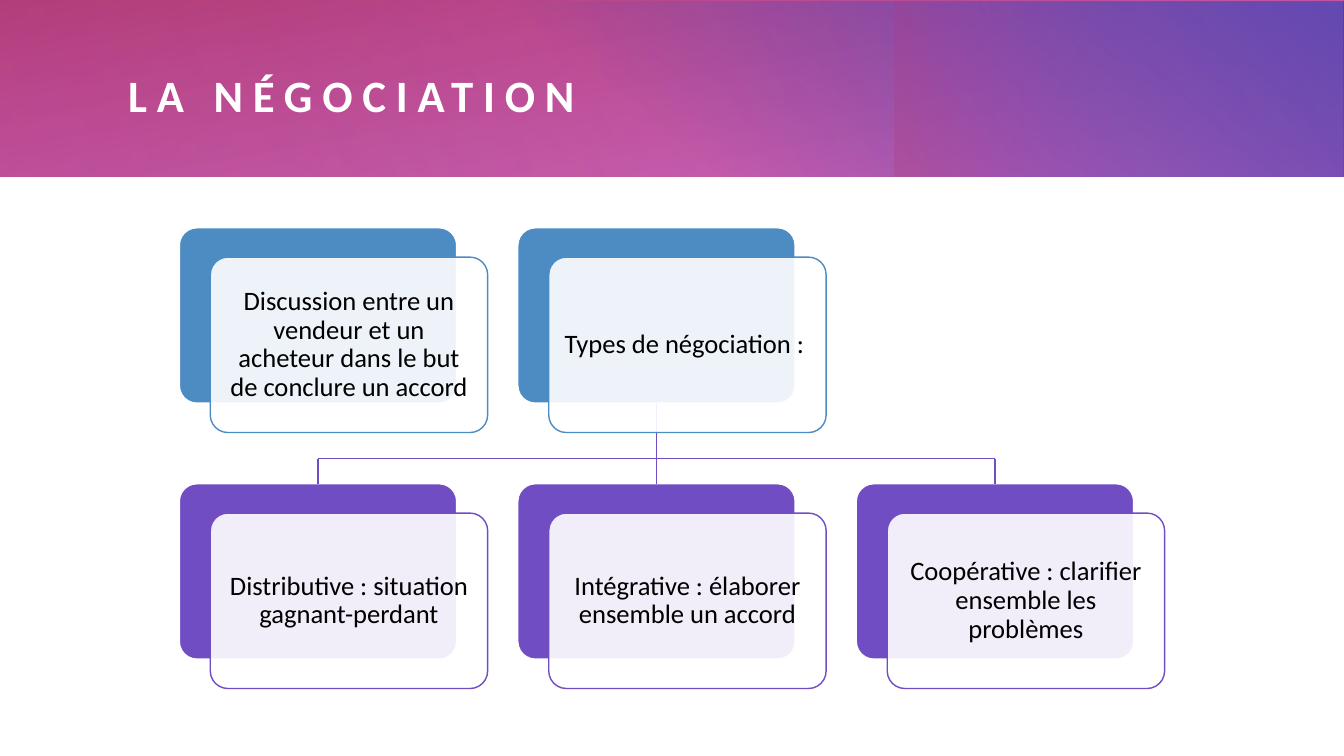
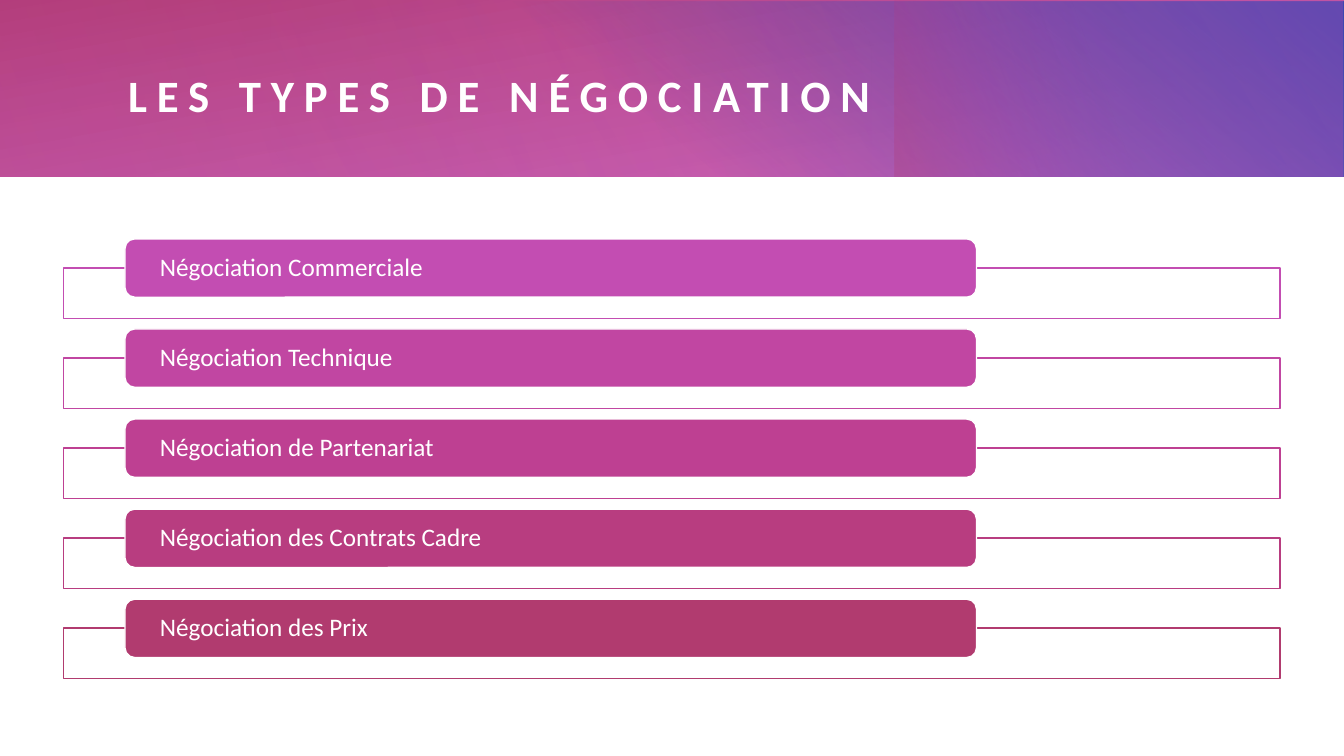
"""Build two slides about negotiation under a shared gradient title band."""
from dataclasses import dataclass

from lxml import etree
from pptx import Presentation
from pptx.dml.color import RGBColor
from pptx.enum.shapes import MSO_CONNECTOR, MSO_SHAPE
from pptx.enum.text import MSO_ANCHOR, PP_ALIGN
from pptx.oxml.ns import qn
from pptx.presentation import Presentation as Deck
from pptx.shapes.autoshape import Shape
from pptx.shapes.connector import Connector
from pptx.slide import Slide
from pptx.util import Cm, Pt

RECTANGLE = MSO_SHAPE.RECTANGLE
ROUNDED = MSO_SHAPE.ROUNDED_RECTANGLE
STRAIGHT = MSO_CONNECTOR.STRAIGHT
MIDDLE = MSO_ANCHOR.MIDDLE
LEFT, CENTER = PP_ALIGN.LEFT, PP_ALIGN.CENTER
TOP_SIDE, BOTTOM_SIDE = 0, 2

FONT = "Calibri"
LINE_WIDTH = Pt(1)
BLANK_LAYOUT = 6
COLOURS = {
    "white": "FFFFFF",
    "black": "000000",
    "steel": "4D8BC3",
    "violet": "714DC3",
    "purple": "913BB1",
    "indigo": "3B48B1",
    "pink": "C34DB2",
    "orchid": "C146A2",
    "magenta": "BE4092",
    "raspberry": "B83D80",
    "crimson": "B13B6F",
}


@dataclass(frozen=True)
class Box:
    """Position and size in centimetres."""
    left: float
    top: float
    width: float
    height: float


@dataclass(frozen=True)
class Stop:
    """Gradient stop with position and opacity in percent."""
    position: int
    colour: str
    opacity: int


@dataclass(frozen=True)
class Band:
    """Gradient layer of the title band, with a clockwise angle."""
    box: Box
    angle: int
    start: Stop
    end: Stop
    rotation: int = 0


@dataclass(frozen=True)
class Card:
    """Diagram card placed on the grid by column and row."""
    column: int
    row: int
    colour: str
    text: str


@dataclass(frozen=True)
class Entry:
    """Labelled bar of the list."""
    text: str
    colour: str


BAND_HEIGHT = 4.45
BANDS = [
    Band(Box(0, 0, 33.87, BAND_HEIGHT), 260, Stop(0, "pink", 83), Stop(100, "crimson", 100)),
    Band(Box(12.22, 0.03, 21.65, 4.42), 310, Stop(22, "indigo", 0), Stop(99, "indigo", 100)),
    Band(Box(25.07, -2.52, BAND_HEIGHT, 9.5), 250, Stop(45, "purple", 0), Stop(99, "crimson", 33), 270),
    Band(Box(6.81, 0, 27.03, BAND_HEIGHT), 330, Stop(0, "pink", 30), Stop(99, "pink", 0), 180),
    Band(Box(0, 0, 21.97, BAND_HEIGHT), 340, Stop(0, "pink", 21), Stop(99, "pink", 0)),
]
TITLE_BOX = Box(3.23, 1.04, 28.83, 2.69)

CARD_ORIGIN = Box(4.52, 5.74, 6.99, 4.42)
CARD_STEP = (8.53, 6.45)
CARD_OFFSET = (0.78, 0.74)
BRANCH_TOP = 11.56
DEFINITION = Card(0, 0, "steel", "Discussion entre un vendeur et un acheteur dans le but de conclure un accord")
PARENT = Card(1, 0, "steel", "Types de négociation : ")
CHILDREN = [
    Card(0, 1, "violet", "Distributive : situation gagnant-perdant"),
    Card(1, 1, "violet", "Intégrative : élaborer ensemble un accord"),
    Card(2, 1, "violet", "Coopérative : clarifier ensemble les problèmes"),
]

ENTRY_STEP = 2.27
FRAME_ORIGIN = Box(1.6, 6.75, 30.66, 1.27)
LABEL_ORIGIN = Box(3.15, 6.02, 21.46, 1.47)
ENTRIES = [
    Entry("Négociation Commerciale", "pink"),
    Entry("Négociation Technique", "orchid"),
    Entry("Négociation de Partenariat", "magenta"),
    Entry("Négociation des Contrats Cadre", "raspberry"),
    Entry("Négociation des Prix", "crimson"),
]


def colour_of(name: str) -> RGBColor:
    """Return the named colour."""
    return RGBColor.from_string(COLOURS[name])


def lengths(box: Box) -> tuple[Cm, Cm, Cm, Cm]:
    """Return the box as lengths."""
    return Cm(box.left), Cm(box.top), Cm(box.width), Cm(box.height)


def shifted(box: Box, right: float, down: float) -> Box:
    """Return the box moved by the given distances."""
    return Box(box.left + right, box.top + down, box.width, box.height)


def set_opacity(colour_element: etree._Element, percent: int) -> None:
    """Make a colour element partly transparent."""
    etree.SubElement(colour_element, qn("a:alpha")).set("val", str(percent * 1000))


def add_panel(slide: Slide, kind: MSO_SHAPE, box: Box, fill: str, line: str, opacity: int = 100) -> Shape:
    """Add a filled and outlined shape."""
    shape = slide.shapes.add_shape(kind, *lengths(box))
    shape.shadow.inherit = False
    shape.fill.solid()
    shape.fill.fore_color.rgb = colour_of(fill)
    if opacity < 100:
        set_opacity(next(shape.element.spPr.iter(qn("a:srgbClr"))), opacity)
    shape.line.color.rgb = colour_of(line)
    shape.line.width = LINE_WIDTH
    return shape


def write_text(shape: Shape, text: str, size: int, colour: str, alignment: PP_ALIGN,
               side: float = 0, edge: float = 0, spacing: float = 1.0):
    """Write one vertically centred paragraph and return its run."""
    frame = shape.text_frame
    frame.word_wrap = True
    frame.vertical_anchor = MIDDLE
    frame.margin_left = frame.margin_right = Cm(side)
    frame.margin_top = frame.margin_bottom = Cm(edge)
    paragraph = frame.paragraphs[0]
    paragraph.alignment = alignment
    paragraph.line_spacing = spacing
    run = paragraph.add_run()
    run.text = text
    run.font.name = FONT
    run.font.size = Pt(size)
    run.font.color.rgb = colour_of(colour)
    return run


def add_band(slide: Slide, band: Band) -> None:
    """Add one gradient layer."""
    shape = slide.shapes.add_shape(RECTANGLE, *lengths(band.box))
    shape.shadow.inherit = False
    shape.rotation = band.rotation
    shape.line.fill.background()
    shape.fill.gradient()
    shape.fill.gradient_angle = 360 - band.angle
    stops = (band.start, band.end)
    for gradient_stop, stop in zip(shape.fill.gradient_stops, stops):
        gradient_stop.position = stop.position / 100
        gradient_stop.color.rgb = colour_of(stop.colour)
    for element, stop in zip(shape.element.spPr.iter(qn("a:srgbClr")), stops):
        set_opacity(element, stop.opacity)


def add_titled_slide(presentation: Deck, title: str) -> Slide:
    """Add a slide with the gradient band and its title."""
    slide = presentation.slides.add_slide(presentation.slide_layouts[BLANK_LAYOUT])
    for band in BANDS:
        add_band(slide, band)
    text_box = slide.shapes.add_textbox(*lengths(TITLE_BOX))
    run = write_text(text_box, title, 32, "white", LEFT)
    run.font.bold = True
    run.font._element.set("spc", "700")
    return slide


def card_box(card: Card) -> Box:
    """Return the place of a card on the grid."""
    return shifted(CARD_ORIGIN, card.column * CARD_STEP[0], card.row * CARD_STEP[1])


def add_card_back(slide: Slide, card: Card) -> Shape:
    """Add the coloured back of a card."""
    shape = add_panel(slide, ROUNDED, card_box(card), card.colour, "white")
    shape.adjustments[0] = 0.1
    return shape


def add_card_front(slide: Slide, card: Card) -> None:
    """Add the translucent front of a card with its text."""
    box = shifted(card_box(card), *CARD_OFFSET)
    shape = add_panel(slide, ROUNDED, box, "white", card.colour, 90)
    shape.adjustments[0] = 0.1
    write_text(shape, card.text, 19, "black", CENTER, 0.2, 0.2, 0.9)


def add_branch(slide: Slide, start: tuple[int, int], end: tuple[int, int]) -> Connector:
    """Add a thin violet straight line."""
    connector = slide.shapes.add_connector(STRAIGHT, *start, *end)
    connector.line.color.rgb = colour_of("violet")
    connector.line.width = LINE_WIDTH
    etree.SubElement(connector.element.spPr, qn("a:effectLst"))
    return connector


def add_tree(slide: Slide, parent: Shape, children: list[Shape]) -> None:
    """Link the parent card to its children."""
    level = Cm(BRANCH_TOP)
    centers = [child.left + child.width // 2 for child in children]
    add_branch(slide, (centers[0], level), (centers[-1], level))
    for index, (child, center) in enumerate(zip(children, centers)):
        branch = add_branch(slide, (center, level), (center, child.top))
        branch.end_connect(child, TOP_SIDE)
        if index == len(children) // 2:
            branch.begin_connect(parent, BOTTOM_SIDE)


def build_diagram_slide(presentation: Deck) -> None:
    """Build the slide with the card diagram."""
    slide = add_titled_slide(presentation, "LA NÉGOCIATION")
    add_card_back(slide, DEFINITION)
    parent = add_card_back(slide, PARENT)
    add_tree(slide, parent, [add_card_back(slide, child) for child in CHILDREN])
    for card in (DEFINITION, PARENT, *CHILDREN):
        add_card_front(slide, card)


def build_list_slide(presentation: Deck) -> None:
    """Build the slide with the list of negotiation types."""
    slide = add_titled_slide(presentation, "LES TYPES DE NÉGOCIATION")
    for index, entry in enumerate(ENTRIES):
        down = index * ENTRY_STEP
        add_panel(slide, RECTANGLE, shifted(FRAME_ORIGIN, 0, down), "white", entry.colour, 90)
        label = add_panel(slide, ROUNDED, shifted(LABEL_ORIGIN, 0, down), entry.colour, "white")
        write_text(label, entry.text, 18, "white", LEFT, side=0.81, spacing=0.9)


def main() -> None:
    """Create and save the presentation."""
    presentation = Presentation()
    presentation.slide_width = Cm(33.87)
    presentation.slide_height = Cm(19.05)
    build_diagram_slide(presentation)
    build_list_slide(presentation)
    presentation.save("out.pptx")


if __name__ == "__main__":
    main()
